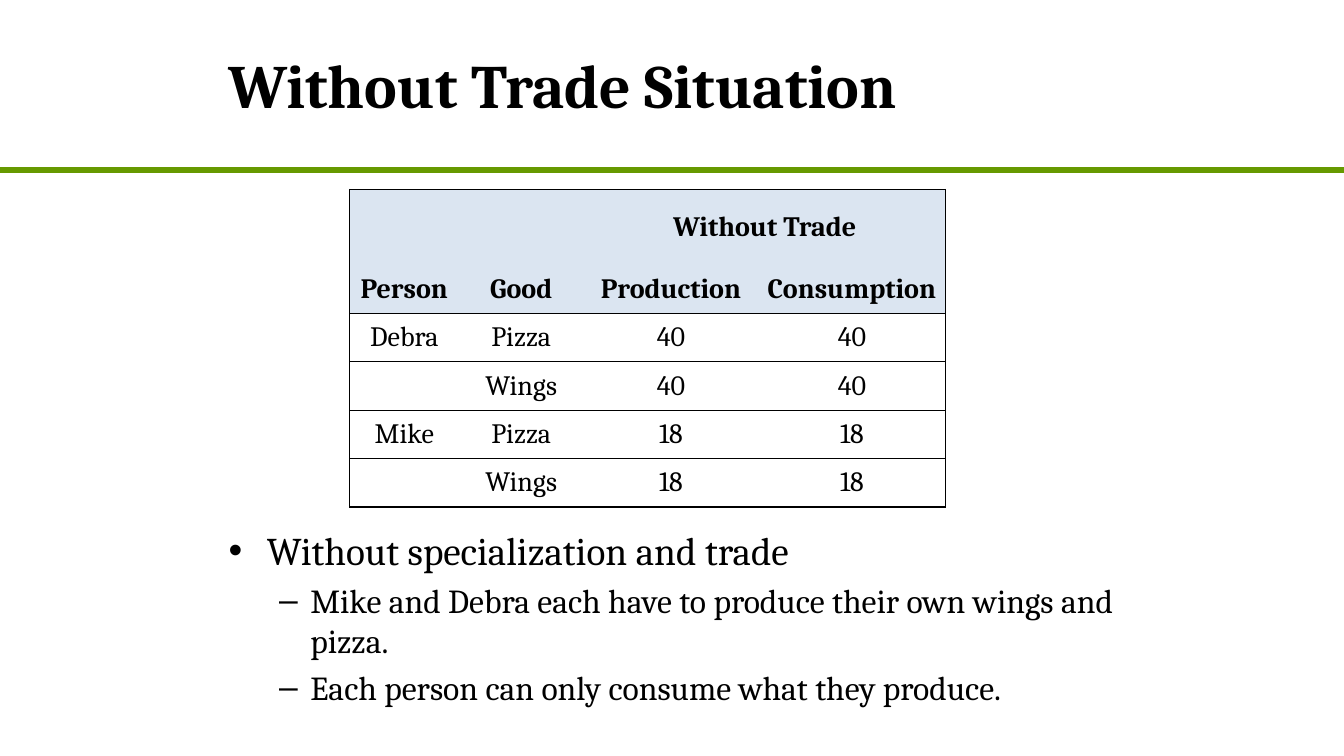
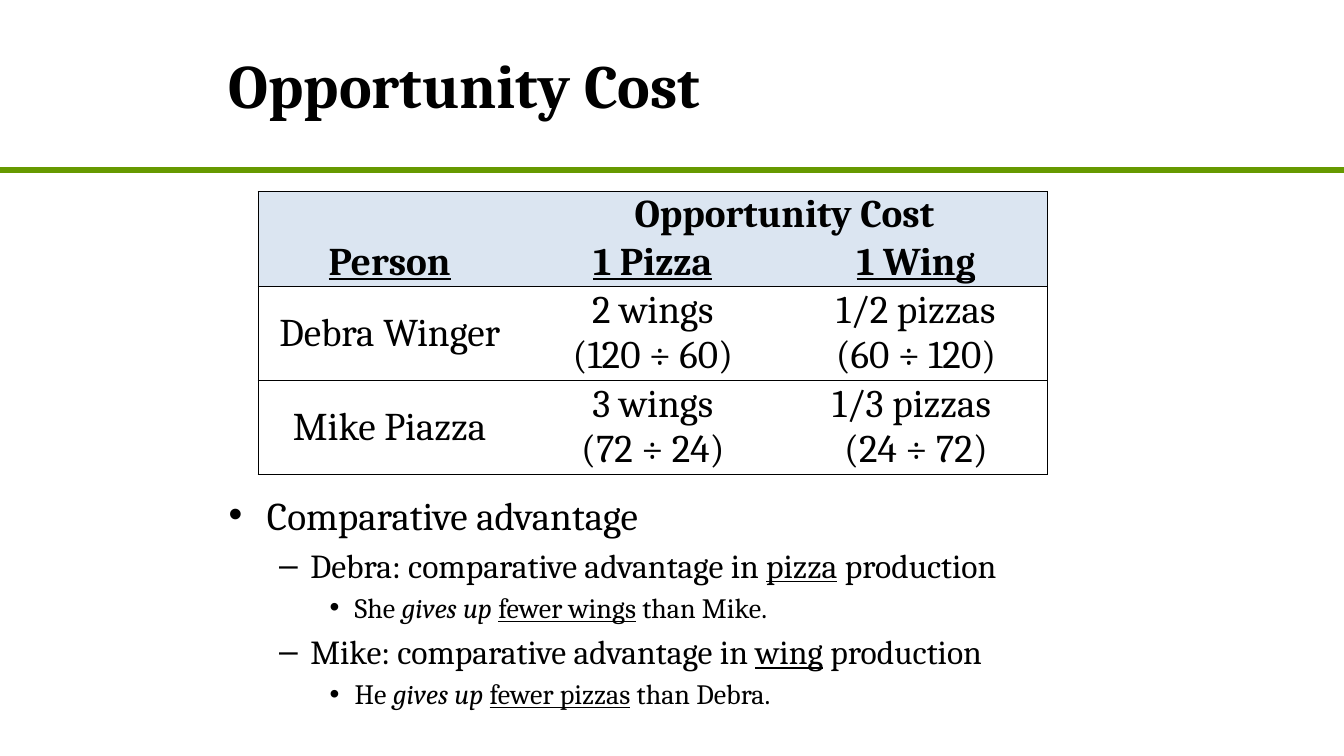
"""Build two slides on trade and opportunity cost."""
from lxml import etree
from pptx import Presentation
from pptx.dml.color import RGBColor
from pptx.enum import shapes, text
from pptx.oxml import ns
from pptx.util import Inches, Pt

FONT = "Cambria"
COLORS = {"ink": "000000", "rule": "669900", "head": "DBE5F1"}
PLAIN = "{2D5ABB26-0587-4C30-8999-92F81FD0307C}"
LEVELS = [("•", 0.38, 0.38, 28), ("–", 0.81, 0.31, 24), ("•", 1.25, 0.25, 20)]
HEADS = 2

SLIDES = [
    {
        "title": "Without Trade Situation",
        "table": {
            "at": (3.47, 1.88),
            "cols": [1.08, 1.24, 1.73, 1.86],
            "rows": [0.75] + [0.48] * 5,
            "size": 20,
            "group": 2,
            "cells": [
                ["", "", "Without Trade", ""],
                ["Person", "Good", "Production", "Consumption"],
                ["Debra", "Pizza", "40", "40"],
                ["", "Wings", "40", "40"],
                ["Mike", "Pizza", "18", "18"],
                ["", "Wings", "18", "18"],
            ],
        },
        "body": (5.17, 2.06),
        "points": [
            (0, "Without specialization and trade"),
            (1, "Mike and Debra each have to produce their own wings and pizza."),
            (1, "Each person can only consume what they produce."),
        ],
    },
    {
        "title": "Opportunity Cost",
        "table": {
            "at": (2.56, 1.9),
            "cols": [2.61] * 3,
            "rows": [0.47] * 2 + [0.93] * 2,
            "size": 28,
            "group": 1,
            "cells": [
                ["", "Opportunity Cost", ""],
                ["|_Person", "|_1 Pizza", "|_1 Wing"],
                ["Debra Winger", "2 wings\n(120 ÷ 60)", "1/2 pizzas\n(60 ÷ 120)"],
                ["Mike Piazza", "3 wings\n(72 ÷ 24)", "1/3 pizzas \n(24 ÷ 72)"],
            ],
        },
        "body": (4.82, 2.48),
        "points": [
            (0, "Comparative advantage"),
            (1, "Debra: comparative advantage in |_pizza| production"),
            (2, "She |*gives up |_fewer wings| than Mike."),
            (1, "Mike: comparative advantage in |_wing| production"),
            (2, "He |*gives up |_fewer pizzas| than Debra."),
        ],
    },
]


def color(name):
    return RGBColor.from_string(COLORS[name])


def write(para, words, size, bold=False):
    """Write words, where |_ starts underline, |* italic and | plain text."""
    font = para.font
    font.name, font.size, font.bold = FONT, Pt(size), bold
    font.color.rgb = color("ink")
    for part in filter(None, words.split("|")):
        run = para.add_run()
        run.text = part.lstrip("_*")
        if part[0] == "_":
            run.font.underline = True
        elif part[0] == "*":
            run.font.italic = True


def add_box(slide, top, height):
    box = slide.shapes.add_textbox(Inches(2.17), Inches(top), Inches(9), Inches(height))
    box.text_frame.word_wrap = True
    return box.text_frame


def add_rule(slide, width):
    y = Inches(1.69)
    rule = slide.shapes.add_connector(shapes.MSO_CONNECTOR.STRAIGHT, 0, y, width, y)
    rule.line.color.rgb = color("rule")
    rule.line.width = Pt(4.5)
    etree.SubElement(rule._element.spPr, ns.qn("a:effectLst"))


def add_points(frame, points):
    for i, (level, words) in enumerate(points):
        para = frame.paragraphs[0] if i == 0 else frame.add_paragraph()
        mark, left, hang, size = LEVELS[level]
        para.level = level
        para.space_before = Pt(size * 0.2)
        props = para._p.get_or_add_pPr()
        props.set("marL", str(Inches(left)))
        props.set("indent", str(-Inches(hang)))
        etree.SubElement(props, ns.qn("a:buFont"), typeface="Arial")
        etree.SubElement(props, ns.qn("a:buChar"), char=mark)
        write(para, words, size)


def add_edges(cell, sides):
    props = cell._tc.get_or_add_tcPr()
    for i, side in enumerate(sides):
        line = etree.Element(ns.qn("a:ln" + side), w=str(Pt(1)))
        fill = etree.SubElement(line, ns.qn("a:solidFill"))
        etree.SubElement(fill, ns.qn("a:srgbClr"), val=COLORS["ink"])
        props.insert(i, line)


def fill_cell(cell, words, size, head):
    cell.margin_left = cell.margin_right = Inches(0.07)
    cell.margin_top = cell.margin_bottom = 0
    cell.vertical_anchor = text.MSO_ANCHOR.MIDDLE
    if head:
        cell.fill.solid()
        cell.fill.fore_color.rgb = color("head")
    else:
        cell.fill.background()
    frame = cell.text_frame
    for i, line in enumerate(words.split("\n")):
        para = frame.paragraphs[0] if i == 0 else frame.add_paragraph()
        para.alignment = text.PP_ALIGN.CENTER
        write(para, line, size, head)


def add_grid(slide, data):
    cols, rows = data["cols"], data["rows"]
    wide, tall = len(cols), len(rows)
    left, top = data["at"]
    grid = slide.shapes.add_table(
        tall, wide, Inches(left), Inches(top), Inches(sum(cols)), Inches(sum(rows))
    ).table
    grid._tbl.tblPr.find(ns.qn("a:tableStyleId")).text = PLAIN
    grid.first_row = grid.horz_banding = False
    for col, size in zip(grid.columns, cols):
        col.width = Inches(size)
    for row, size in zip(grid.rows, rows):
        row.height = Inches(size)
    grid.cell(0, wide - 2).merge(grid.cell(0, wide - 1))
    starts = {0, *range(HEADS, tall + 1, data["group"])}
    for r, line in enumerate(data["cells"]):
        for c, words in enumerate(line):
            cell = grid.cell(r, c)
            fill_cell(cell, words, data["size"], r < HEADS)
            edges = {
                "L": c == 0,
                "R": c + cell.span_width >= wide,
                "T": r in starts,
                "B": r + 1 in starts,
            }
            add_edges(cell, [side for side, on in edges.items() if on])


def main():
    deck = Presentation()
    deck.slide_width, deck.slide_height = Inches(13.33), Inches(7.5)
    for data in SLIDES:
        slide = deck.slides.add_slide(deck.slide_layouts[6])
        add_rule(slide, deck.slide_width)
        title = add_box(slide, 0, 1.67)
        title.vertical_anchor = text.MSO_ANCHOR.MIDDLE
        write(title.paragraphs[0], data["title"], 44, True)
        add_points(add_box(slide, *data["body"]), data["points"])
        add_grid(slide, data["table"])
    deck.save("out.pptx")


if __name__ == "__main__":
    main()
